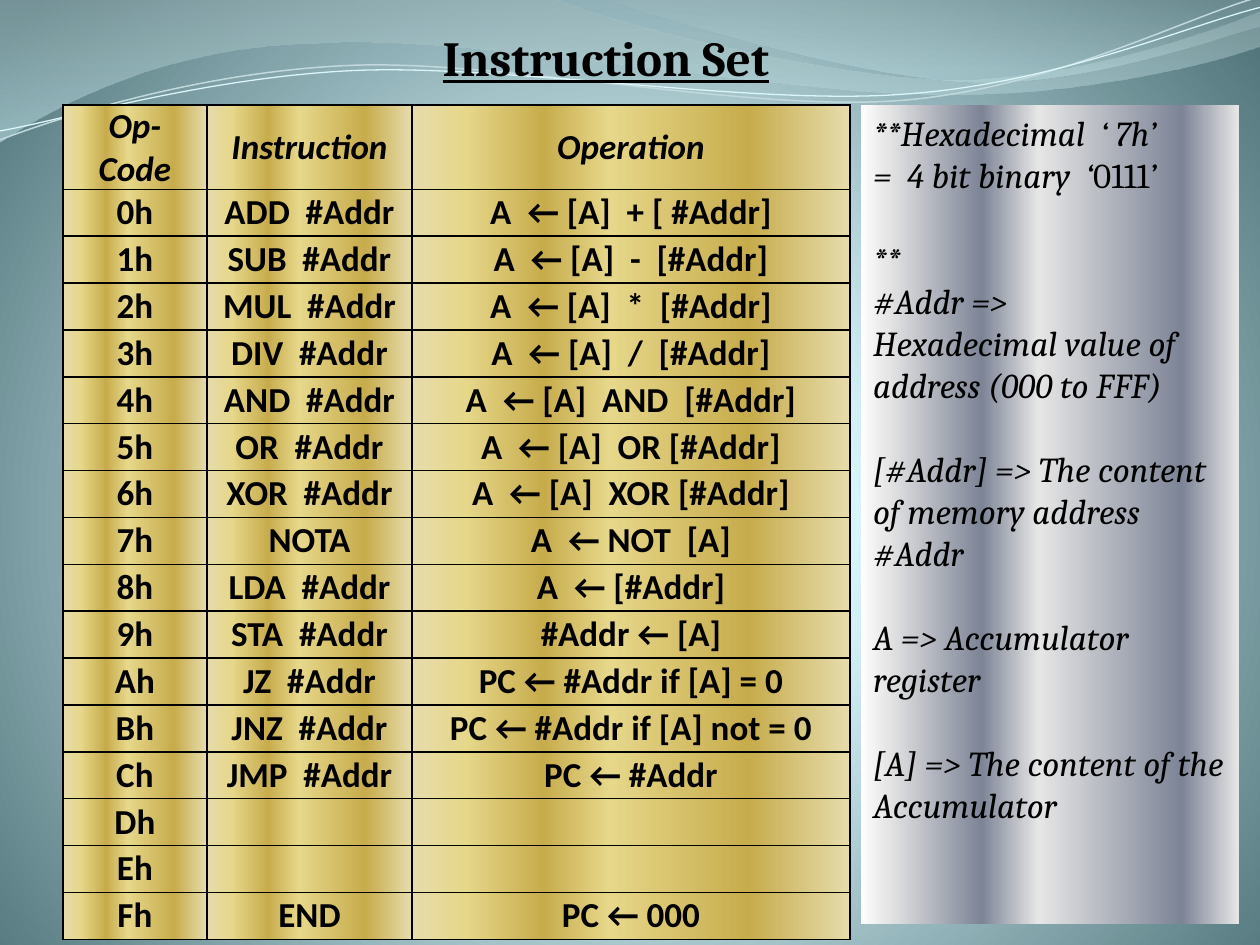
"""Build the instruction set slide: a table of op-codes beside a panel of notes."""
from lxml import etree
from pptx import Presentation
from pptx.dml.color import RGBColor
from pptx.enum.shapes import MSO_SHAPE
from pptx.enum.text import MSO_ANCHOR, MSO_AUTO_SIZE, PP_ALIGN
from pptx.oxml.ns import qn
from pptx.util import Cm, Pt

RECT = MSO_SHAPE.RECTANGLE
TOP, MIDDLE = MSO_ANCHOR.TOP, MSO_ANCHOR.MIDDLE
GROW = MSO_AUTO_SIZE.SHAPE_TO_FIT_TEXT
LEFT, CENTER = PP_ALIGN.LEFT, PP_ALIGN.CENTER

GOLD = [(0, "E6DCAC"), (12, "E6D78A"), (30, "C7AC4C"), (45, "E6D78A"), (77, "C7AC4C"), (100, "E6DCAC")]
SILVER = [(0, "FFFFFF"), (7, "E6E6E6"), (32, "7D8496"), (47, "E6E6E6"), (85, "7D8496"), (100, "E6E6E6")]
SKY = [(0, "DEFBFF"), (25, "DDFAFF"), (100, "52767C")]

WAVES = [
    ((0, 0), [(11.18, -0.03), (12.09, 0.43, 16.87, 1.6, 19.25, 1.6),
              (21.67, 1.6, 24.33, 0.66, 25.4, 0.23), (25.43, 0.91),
              (24.97, 1.12, 22.1, 1.93, 18.95, 1.9), (15.8, 1.9, 9.7, 0.71, 6.53, 0.86),
              (3.28, 0.91, 1.17, 2.11, -0.03, 2.87)],
     [(0, "A0B7BA", 45), (100, "BFE4E9", 55)], None),
    ((12.17, -0.03), [(12.93, 0.28, 17.32, 1.57, 19.53, 1.65),
                      (21.74, 1.75, 24.41, 0.81, 25.4, 0.53), (25.4, 0)],
     [(0, "9FB8BC", 30), (80, "BCDCE1", 45)], None),
    ((0, 2.82), [(1.22, 2.36, 4.01, 1.45, 7.04, 1.32), (10.03, 1.19, 15.06, 2.26, 18.11, 2.03),
                 (21.16, 1.8, 23.83, 0.38, 25.35, -0.05)], None, ("C1D8DC", 0.85)),
    ((0, 2.64), [(1.19, 2.44, 4.17, 1.55, 7.19, 1.42), (10.24, 1.3, 15.16, 2.13, 18.21, 1.9),
                 (21.23, 1.7, 23.9, 0.53, 25.4, 0.15)], None, ("DBF5F9", 0.75)),
]

ROWS = [
    ("Op-Code", "Instruction", "Operation"),
    ("0h", "ADD  #Addr", "A  ← [A]  + [ #Addr]"),
    ("1h", "SUB  #Addr", "A  ← [A]  -  [#Addr]"),
    ("2h", "MUL  #Addr", "A  ← [A]  *  [#Addr]"),
    ("3h", "DIV  #Addr", "A  ← [A]  /  [#Addr]"),
    ("4h", "AND  #Addr", "A  ← [A]  AND  [#Addr]"),
    ("5h", "OR  #Addr", "A  ← [A]  OR [#Addr]"),
    ("6h", "XOR  #Addr", "A  ← [A]  XOR [#Addr]"),
    ("7h", "NOTA", "A  ← NOT  [A]"),
    ("8h", "LDA  #Addr", "A  ← [#Addr]"),
    ("9h", "STA  #Addr", "#Addr ← [A]"),
    ("Ah", "JZ  #Addr", "PC ← #Addr if [A] = 0"),
    ("Bh", "JNZ  #Addr", "PC ← #Addr if [A] not = 0"),
    ("Ch", "JMP  #Addr", "PC ← #Addr"),
    ("Dh", "", ""),
    ("Eh", "", ""),
    ("Fh", "END", "PC ← 000"),
]
COL_WIDTHS = [2.9, 4.14, 8.82]
TABLE_HEIGHT = 16.08

NOTES = [
    [["**Hexadecimal  ‘ 7h’"], ["=  4 bit binary  ‘", "0111", "’"]],
    [["**"], ["#Addr =>"], ["Hexadecimal value of"], ["address (000 to FFF)"]],
    [["[#Addr] => The content"], ["of memory address #Addr"]],
    [["A => Accumulator register"]],
    [["[A] => The content of the"], ["Accumulator"]],
]


def gradient(fill, element, stops, angle=0, focus=None):
    """Fill with (position, colour[, opacity]) stops, linear or around a focus."""
    fill.gradient()
    grad = next(element.iter(qn("a:gradFill")))
    grad.clear()
    grad.set("rotWithShape", "1")
    gs_lst = etree.SubElement(grad, qn("a:gsLst"))
    for pos, colour, *opacity in stops:
        gs = etree.SubElement(gs_lst, qn("a:gs"), pos=str(pos * 1000))
        clr = etree.SubElement(gs, qn("a:srgbClr"), val=colour)
        for value in opacity:
            etree.SubElement(clr, qn("a:alpha"), val=str(value * 1000))
    if focus:
        path = etree.SubElement(grad, qn("a:path"), path="circle")
        sides = {side: str(value * 1000) for side, value in zip("ltrb", focus)}
        etree.SubElement(path, qn("a:fillToRect"), **sides)
    else:
        etree.SubElement(grad, qn("a:lin"), ang=str(angle * 60000), scaled="0")


def style(p, font, size=20, bold=False, italic=False):
    """Set the font of a whole paragraph."""
    f = p.font
    f.name, f.size, f.bold, f.italic = font, Pt(size), bold, italic
    f.color.rgb = RGBColor.from_string("000000")


prs = Presentation()
prs.slide_width, prs.slide_height = Cm(25.4), Cm(19.05)
s = prs.slides.add_slide(prs.slide_layouts[5])
gradient(s.background.fill, s._element, SKY, focus=(10, 110, 10, 100))

for start, segments, stops, line in WAVES:
    points = [(Cm(seg[i]), Cm(seg[i + 1])) for seg in segments for i in range(0, len(seg), 2)]
    builder = s.shapes.build_freeform(Cm(start[0]), Cm(start[1]))
    builder.add_line_segments(points, close=bool(stops))
    wave = builder.convert_to_shape()
    wave.shadow.inherit = False
    steps = iter(list(wave._element.iter(qn("a:lnTo"))))
    for seg in segments:
        step = next(steps)
        if len(seg) == 6:
            step.tag = qn("a:cubicBezTo")
            for control in (next(steps), next(steps)):
                step.append(control[0])
                control.getparent().remove(control)
    if stops:
        gradient(wave.fill, wave._element, stops, angle=90)
        wave.line.fill.background()
    else:
        wave.fill.background()
        wave.line.color.rgb = RGBColor.from_string(line[0])
        wave.line.width = Pt(line[1])

title = s.shapes.title
s.shapes._spTree.append(title._element)
title.left, title.top, title.width, title.height = Cm(8.67), Cm(0.43), Cm(7.54), Cm(1.45)
tf = title.text_frame
tf.text = "Instruction Set"
tf.word_wrap, tf.auto_size, tf.vertical_anchor = False, GROW, TOP
p = tf.paragraphs[0]
p.alignment = LEFT
style(p, "Cambria", 28, bold=True)
p.font.underline = True

table = s.shapes.add_table(len(ROWS), len(COL_WIDTHS), Cm(1.27), Cm(2.12),
                           Cm(sum(COL_WIDTHS)), Cm(TABLE_HEIGHT)).table
table.first_row = table.horz_banding = False
for col, width in zip(table.columns, COL_WIDTHS):
    col.width = Cm(width)
for r, texts in enumerate(ROWS):
    for c, text in enumerate(texts):
        cell = table.cell(r, c)
        cell.text = text
        cell.vertical_anchor = MIDDLE
        cell.margin_left = cell.margin_right = Cm(0.2)
        cell.margin_top = cell.margin_bottom = 0
        p = cell.text_frame.paragraphs[0]
        p.alignment = CENTER
        style(p, "Calibri", bold=True, italic=r == 0)
        tc_pr = cell._tc.get_or_add_tcPr()
        gradient(cell.fill, tc_pr, GOLD)
        for i, side in enumerate("LRTB"):
            ln = etree.Element(qn("a:ln" + side), w=str(Pt(1)))
            solid = etree.SubElement(ln, qn("a:solidFill"))
            etree.SubElement(solid, qn("a:srgbClr"), val="000000")
            tc_pr.insert(i, ln)

panel = s.shapes.add_shape(RECT, Cm(17.35), Cm(2.12), Cm(7.62), Cm(16.5))
panel.shadow.inherit = False
gradient(panel.fill, panel._element, SILVER)
panel.line.fill.background()
tf = panel.text_frame
tf.word_wrap, tf.vertical_anchor = True, TOP
p = tf.paragraphs[0]
for g, group in enumerate(NOTES):
    for n, runs in enumerate(group):
        if g or n:
            p = tf.add_paragraph()
        p.alignment = LEFT
        p.space_before = Pt(24 if g and n == 0 else 0)
        style(p, "Cambria", italic=True)
        for text in runs:
            run = p.add_run()
            run.text = text
            if text == "0111":
                run.font.italic = False

prs.save("out.pptx")
